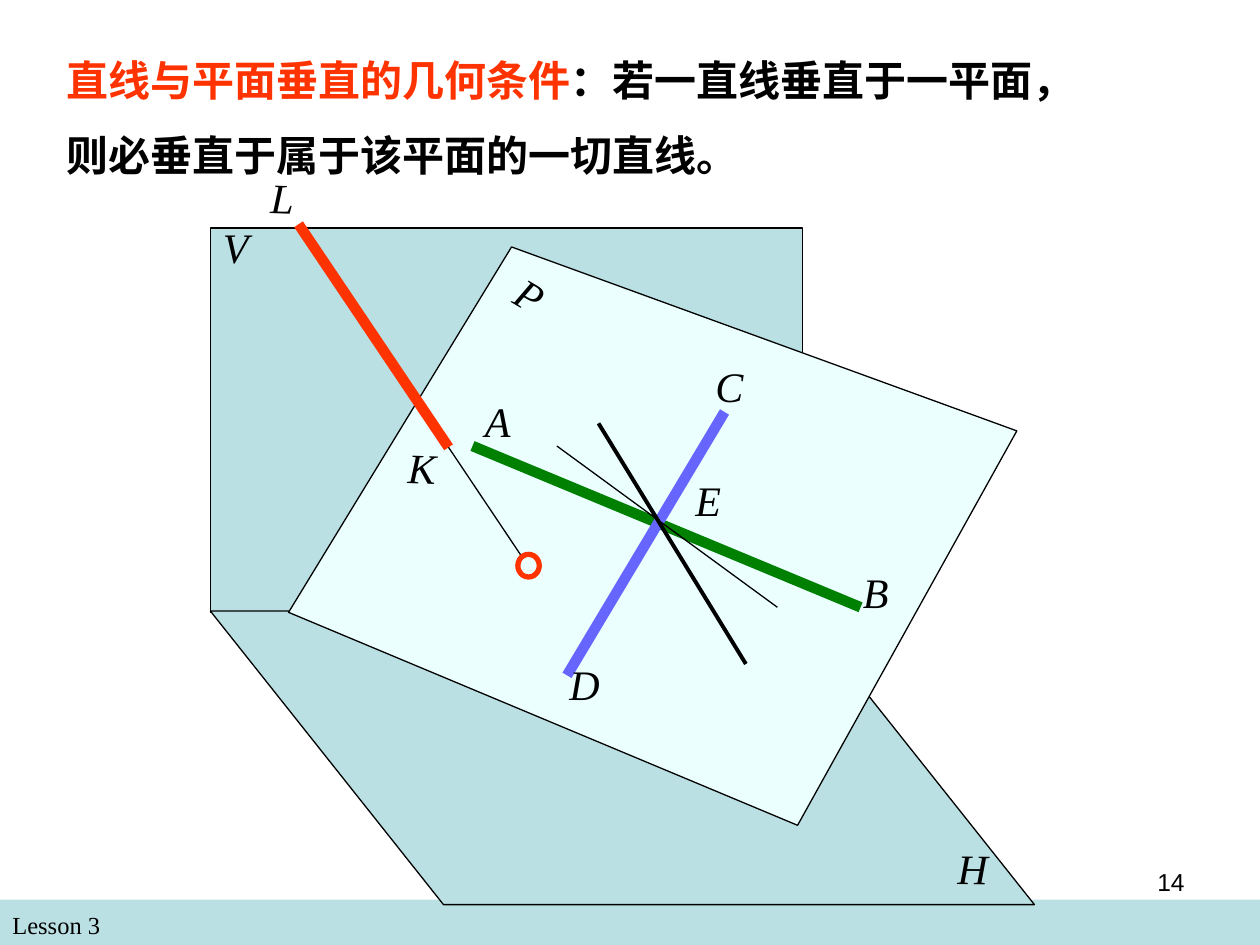
from lxml import etree
from pptx import Presentation
from pptx.dml.color import RGBColor
from pptx.enum.shapes import MSO_CONNECTOR, MSO_SHAPE
from pptx.enum.text import MSO_ANCHOR, PP_ALIGN
from pptx.oxml.ns import qn
from pptx.util import Inches, Pt

BLACK, RED, TEAL, PALE = "000000", "FF3300", "BBE0E3", "EBFFFF"
GREEN, BLUE = "008000", "6666FF"
SERIF = "Times New Roman"

TITLE = [("直线与平面垂直的几何条件", RED),
         ("：若一直线垂直于一平面，则必垂直于属于该平面的一切直线。", BLACK)]

PLANE_H = [(1.67, 4.85), (3.52, 7.18), (8.21, 7.18), (6.36, 4.85)]
PLANE_P = [(4.06, 1.96), (2.29, 4.86), (6.33, 6.55), (8.07, 3.42)]

# start, end, colour, width in points
LINES_IN_P = [
    ((3.75, 3.54), (6.83, 4.82), GREEN, 6),
    ((4.5, 5.36), (5.75, 3.27), BLUE, 6),
    ((4.75, 3.36), (5.92, 5.27), BLACK, 2.25),
    ((4.42, 3.54), (6.17, 4.82), BLACK, 0.75),
]
NORMAL = [
    ((2.37, 1.78), (3.56, 3.55), RED, 6),
    ((3.56, 3.55), (4.19, 4.49), BLACK, 0.75),
]

# letter, left, top, width, rotation
LABELS = [
    ("V", 1.67, 1.71, 0.85, 0), ("H", 7.5, 6.64, 0.85, 0.6),
    ("P", 4.01, 2.09, 0.4, 30.7), ("A", 3.75, 3.09, 0.42, 0),
    ("K", 3.14, 3.46, 0.42, 2.1), ("L", 2.05, 1.32, 0.42, 2.1),
    ("D", 4.42, 5.18, 0.42, 0), ("C", 5.58, 2.81, 0.42, 0),
    ("B", 6.75, 4.45, 0.42, 0), ("E", 5.42, 3.72, 0.42, 0),
]


def rgb(color):
    return RGBColor.from_string(color)


def paint(sp, fill, line=BLACK, width=0.75):
    sp.shadow.inherit = False
    sp.fill.solid()
    sp.fill.fore_color.rgb = rgb(fill)
    if line:
        sp.line.color.rgb = rgb(line)
        sp.line.width = Pt(width)
    else:
        sp.line.fill.background()
    return sp


def add_preset(s, kind, box, *style):
    return paint(s.shapes.add_shape(kind, *map(Inches, box)), *style)


def add_plane(s, points, fill):
    corners = [(Inches(x), Inches(y)) for x, y in points]
    builder = s.shapes.build_freeform(*corners[0])
    builder.add_line_segments(corners[1:], close=True)
    return paint(builder.convert_to_shape(), fill)


def add_line(s, start, end, color, width):
    c = s.shapes.add_connector(MSO_CONNECTOR.STRAIGHT, *map(Inches, start + end))
    c.line.color.rgb = rgb(color)
    c.line.width = Pt(width)
    etree.SubElement(c.element.spPr, qn("a:effectLst"))


def add_text(s, box, runs, rotation=0, para=None, **font):
    """Add a wrapped one-paragraph text box from (text, colour) runs."""
    sp = s.shapes.add_textbox(*map(Inches, box))
    sp.rotation = rotation
    tf = sp.text_frame
    tf.word_wrap = True
    tf.vertical_anchor = MSO_ANCHOR.TOP
    p = tf.paragraphs[0]
    for name, value in (para or {}).items():
        setattr(p, name, value)
    for text, color in runs:
        r = p.add_run()
        r.text = text
        r.font.color.rgb = rgb(color)
        for name, value in font.items():
            setattr(r.font, name, value)


def main():
    prs = Presentation()
    prs.slide_width, prs.slide_height = Inches(10), Inches(7.5)
    s = prs.slides.add_slide(prs.slide_layouts[6])

    add_preset(s, MSO_SHAPE.RECTANGLE, (0, 7.14, 10, 0.36), TEAL, None)
    add_text(s, (0, 7.17, 4.83, 0.34), [("Lesson 3", BLACK)],
             name=SERIF, size=Pt(14))

    add_preset(s, MSO_SHAPE.RECTANGLE, (1.67, 1.81, 4.7, 3.05), TEAL)
    add_plane(s, PLANE_H, TEAL)
    add_plane(s, PLANE_P, PALE)
    for line in LINES_IN_P + NORMAL:
        add_line(s, *line)
    foot = add_preset(s, MSO_SHAPE.OVAL, (4.11, 4.4, 0.17, 0.18), PALE, RED, 3)
    foot.rotation = 2.1

    for letter, left, top, width, rotation in LABELS:
        add_text(s, (left, top, width, 0.5), [(letter, BLACK)], rotation,
                 name=SERIF, size=Pt(24), italic=True)

    add_text(s, (0.43, 0.18, 7.94, 1.3), TITLE, para={"line_spacing": 1.5},
             name="Arial", size=Pt(24), bold=True)
    add_text(s, (7.17, 6.83, 2.33, 0.52), [("14", BLACK)],
             para={"alignment": PP_ALIGN.RIGHT}, name="Arial", size=Pt(14))
    prs.save("out.pptx")


if __name__ == "__main__":
    main()
